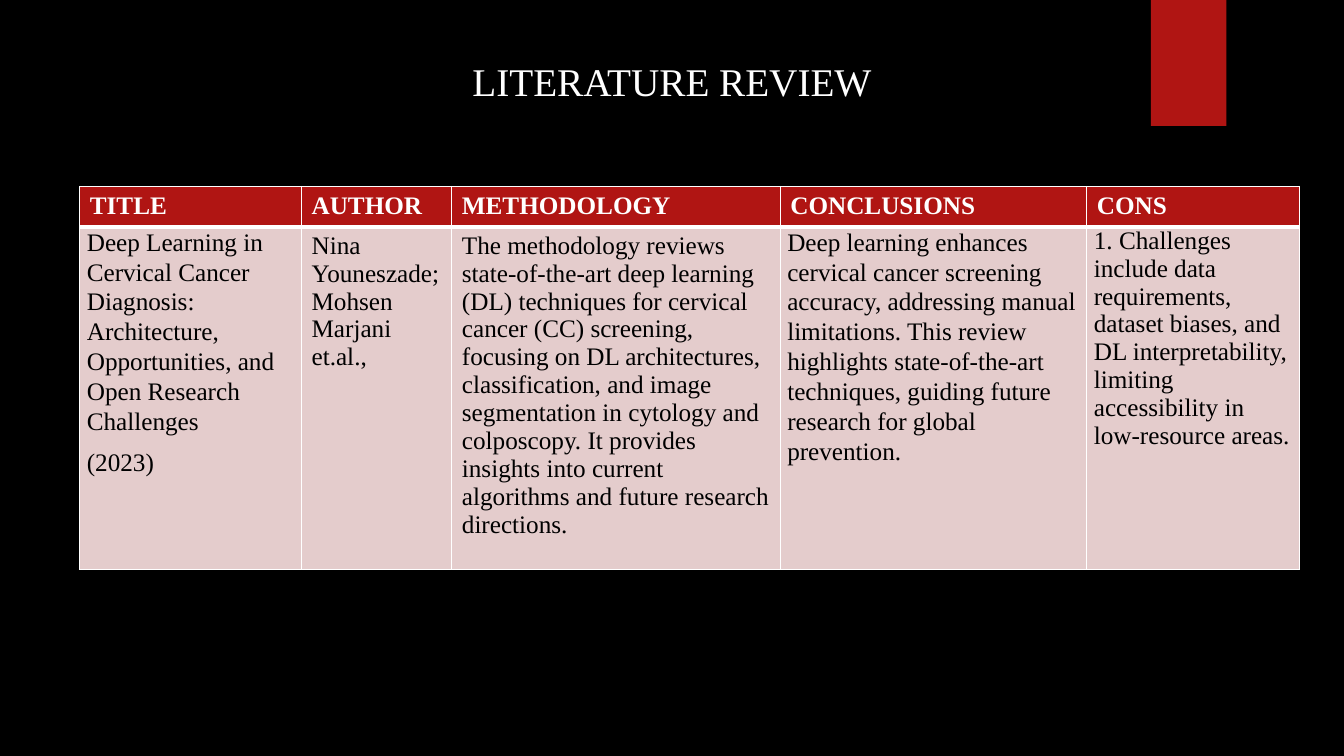
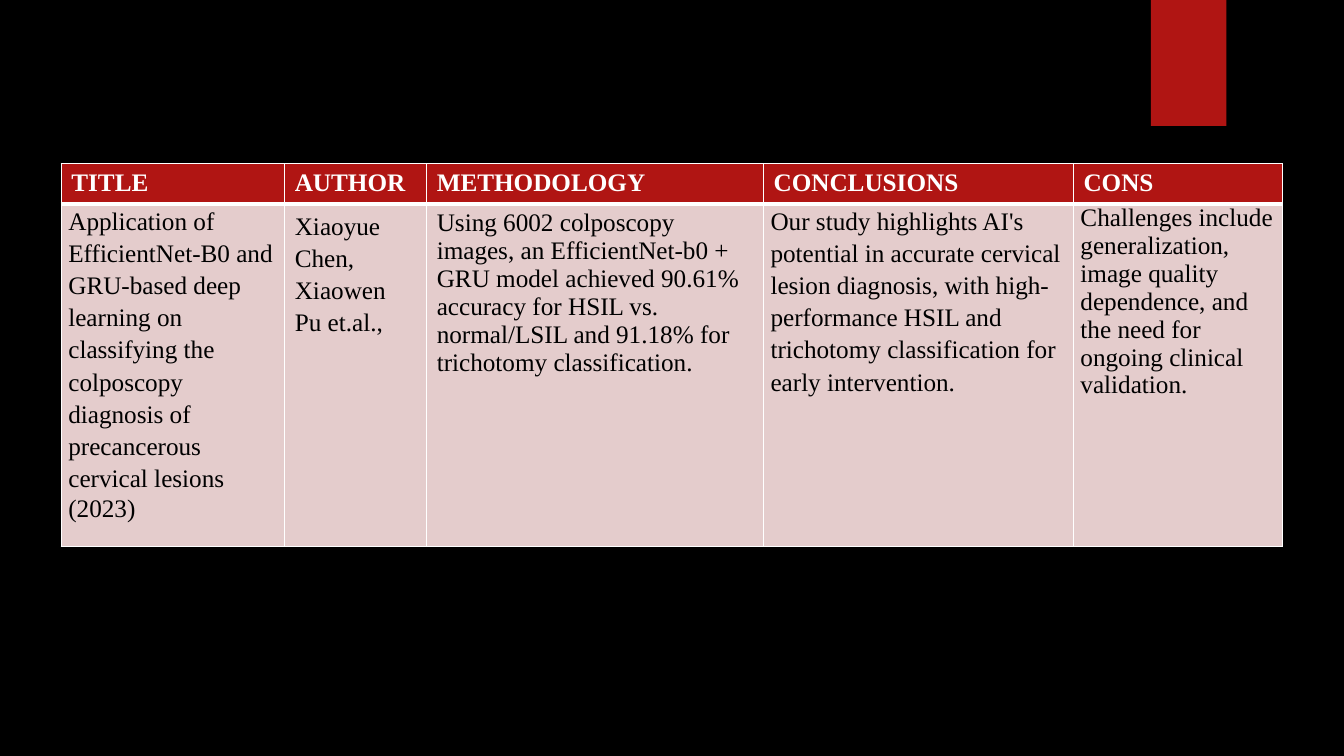
import pptx
import pptx.dml.color
import pptx.enum.shapes
import pptx.enum.text
import pptx.oxml
import pptx.oxml.ns
import pptx.util

HEADERS = ("TITLE", "AUTHOR", "METHODOLOGY", "CONCLUSIONS", "CONS")
TITLE_ONLY, BLANK = 5, 6


def rgb(value):
    return pptx.dml.color.RGBColor.from_string(value)


class Deck:
    """Style and current slide; lengths are units of a 160 x 90 grid."""

    FONT = "Times New Roman"
    BLACK, WHITE, RED, PINK = "000000", "FFFFFF", "B01513", "E4CCCC"
    COLS = 160
    ROW_HEIGHTS = (4.8, 40.8)
    TIGHT = (0.07, 0)
    NORMAL = (0.1, 0.05)

    def __init__(self):
        self.prs = pptx.Presentation()
        self.prs.slide_width = pptx.util.Inches(13.333)
        self.prs.slide_height = pptx.util.Inches(7.5)
        self.fill(self.prs.slide_master.background, self.BLACK)
        self.s = None

    def unit(self, n):
        return pptx.util.Emu(round(self.prs.slide_width * n / self.COLS))

    def box(self, *lengths):
        return [self.unit(n) for n in lengths]

    def fill(self, target, color):
        target.fill.solid()
        target.fill.fore_color.rgb = rgb(color)

    def font(self, p, size, color, bold=False):
        p.font.name, p.font.size = self.FONT, pptx.util.Pt(size)
        p.font.bold, p.font.color.rgb = bold, rgb(color)

    def slide(self, layout):
        """Start a slide with the red band at its top."""
        self.s = self.prs.slides.add_slide(self.prs.slide_layouts[layout])
        rect = pptx.enum.shapes.MSO_SHAPE.RECTANGLE
        band = self.s.shapes.add_shape(rect, *self.box(137, 0, 9, 15))
        band.shadow.inherit = False
        self.fill(band, self.RED)
        band.line.fill.background()

    def title(self, text):
        sp = self.s.shapes.title
        sp.left, sp.top, sp.width, sp.height = self.box(51.7, 6.2, 56.6, 6.9)
        tf = sp.text_frame
        tf.text = text
        tf.vertical_anchor = pptx.enum.text.MSO_ANCHOR.MIDDLE
        p = tf.paragraphs[0]
        p.alignment = pptx.enum.text.PP_ALIGN.CENTER
        self.font(p, 28, self.WHITE)

    def borders(self, cell, **widths):
        """Draw white cell borders; widths in points by side L, R, T, B."""
        tc_pr = cell._tc.get_or_add_tcPr()
        ns = pptx.oxml.ns.nsdecls("a")
        for side in "LRTB":
            width = pptx.util.Pt(widths.get(side, 1))
            tc_pr.append(pptx.oxml.parse_xml(
                f'<a:ln{side} {ns} w="{width}"><a:solidFill>'
                f'<a:srgbClr val="{self.WHITE}"/></a:solidFill></a:ln{side}>'))

    def cell(self, cell, paragraphs, insets, fill, color, bold, **widths):
        """Fill a cell; each paragraph is (text, line spacing, space after)."""
        self.borders(cell, **widths)
        self.fill(cell, fill)
        side, top = (pptx.util.Inches(n) for n in insets)
        cell.margin_left = cell.margin_right = side
        cell.margin_top = cell.margin_bottom = top
        tf = cell.text_frame
        for i, (text, spacing, after) in enumerate(paragraphs):
            p = tf.add_paragraph() if i else tf.paragraphs[0]
            p.text = text
            p.line_spacing, p.space_after = spacing, pptx.util.Pt(after)
            self.font(p, 18, color, bold)

    def review_table(self, left, top, widths, entries):
        """Add a header row and one row of (paragraphs, insets) entries."""
        frame = self.s.shapes.add_table(
            2, len(widths),
            *self.box(left, top, sum(widths), sum(self.ROW_HEIGHTS)))
        table = frame.table
        for row, height in zip(table.rows, self.ROW_HEIGHTS):
            row.height = self.unit(height)
        for c, (width, header, entry) in enumerate(zip(widths, HEADERS, entries)):
            table.columns[c].width = self.unit(width)
            self.cell(table.cell(0, c), [(header, 1.0, 0)], self.NORMAL,
                      self.RED, self.WHITE, True, B=3)
            self.cell(table.cell(1, c), *entry,
                      self.PINK, self.BLACK, False, T=3)


def main():
    deck = Deck()

    deck.slide(TITLE_ONLY)
    deck.title("LITERATURE REVIEW")
    deck.review_table(9.5, 22.2, (26.4, 17.9, 39.1, 36.5, 25.3), [
        ([("Deep Learning in Cervical Cancer Diagnosis: Architecture, "
           "Opportunities, and Open Research Challenges", 1.07, 8),
          ("(2023)", 1.07, 8)], deck.TIGHT),
        ([("Nina Youneszade; Mohsen Marjani et.al.,", 1.0, 0)], deck.NORMAL),
        ([("The methodology reviews state-of-the-art deep learning (DL) "
           "techniques for cervical cancer (CC) screening, focusing on DL "
           "architectures, classification, and image segmentation in cytology "
           "and colposcopy. It provides insights into current algorithms and "
           "future research directions.", 1.0, 0)], deck.NORMAL),
        ([("Deep learning enhances cervical cancer screening accuracy, "
           "addressing manual limitations. This review highlights "
           "state-of-the-art techniques, guiding future research for global "
           "prevention.", 1.07, 8)], deck.TIGHT),
        ([("1. Challenges include data requirements, dataset biases, and DL "
           "interpretability, limiting accessibility in low-resource areas.",
           1.0, 0)], deck.TIGHT),
    ])

    deck.slide(BLANK)
    deck.review_table(7.3, 19.5, (26.6, 16.9, 40.1, 36.9, 24.9), [
        ([("Application of EfficientNet-B0 and GRU-based deep learning on "
           "classifying the colposcopy diagnosis of precancerous cervical "
           "lesions", 1.15, 0),
          ("(2023)", 1.07, 8)], deck.TIGHT),
        ([("Xiaoyue Chen, Xiaowen Pu et.al.,", 1.15, 0)], deck.NORMAL),
        ([("Using 6002 colposcopy images, an EfficientNet-b0 + GRU model "
           "achieved 90.61% accuracy for HSIL vs. normal/LSIL and 91.18% for "
           "trichotomy classification.", 1.0, 0)], deck.NORMAL),
        ([("Our study highlights AI's potential in accurate cervical lesion "
           "diagnosis, with high-performance HSIL and trichotomy "
           "classification for early intervention.", 1.15, 0)], deck.TIGHT),
        ([("Challenges include generalization, image quality dependence, and "
           "the need for ongoing clinical validation.", 1.0, 0)], deck.TIGHT),
    ])

    deck.prs.save("out.pptx")


if __name__ == "__main__":
    main()
